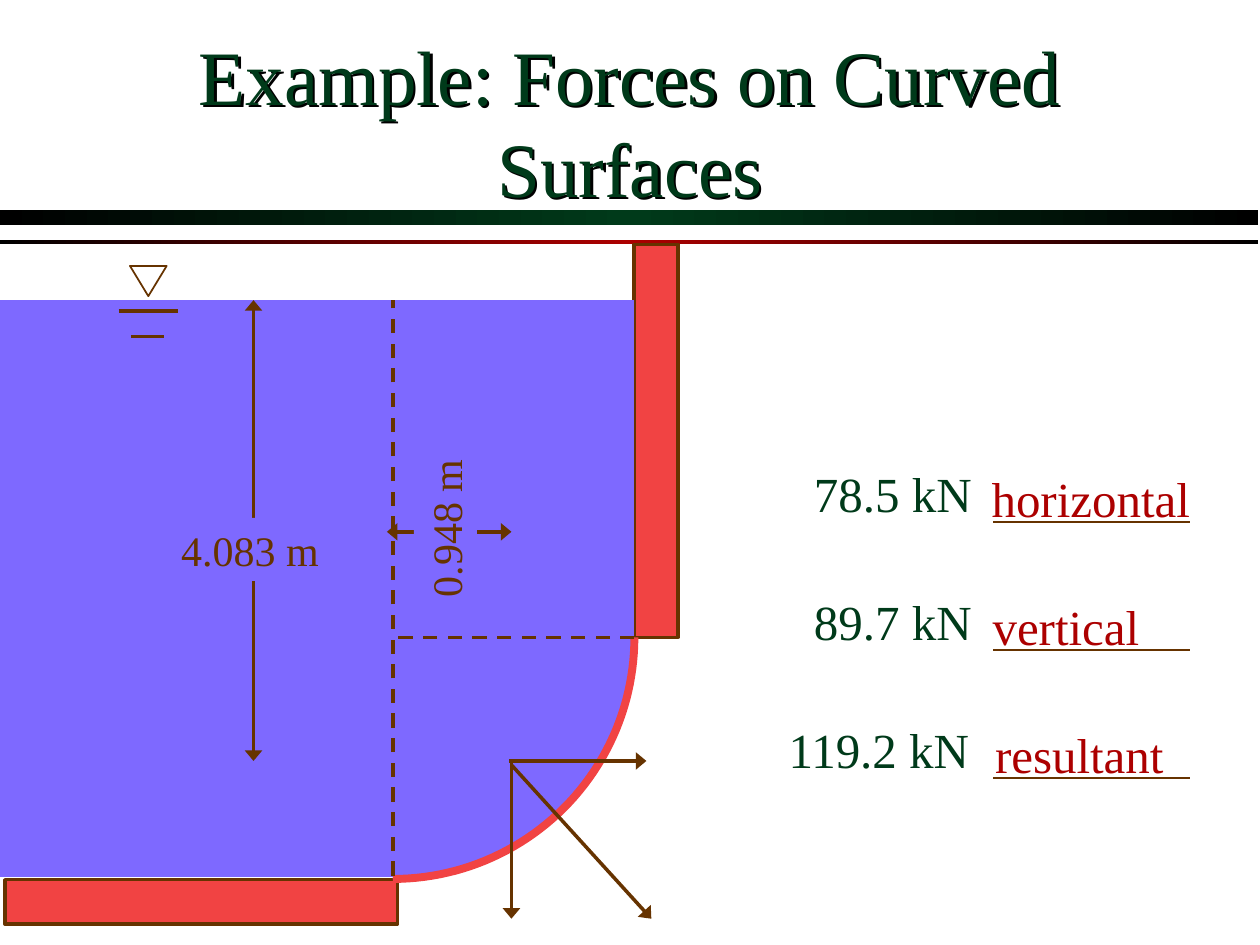
"""Build a slide on the forces acting on a curved surface."""
from copy import deepcopy
from dataclasses import dataclass
from math import cos, pi, sin

from lxml import etree
from pptx import Presentation
from pptx.dml.color import RGBColor
from pptx.enum.dml import MSO_LINE
from pptx.enum.shapes import MSO_CONNECTOR, MSO_SHAPE
from pptx.enum.text import MSO_ANCHOR, MSO_AUTO_SIZE, PP_ALIGN
from pptx.oxml.ns import qn
from pptx.util import Cm, Pt

RECT, TRIANGLE = MSO_SHAPE.RECTANGLE, MSO_SHAPE.ISOSCELES_TRIANGLE
STRAIGHT, DASH = MSO_CONNECTOR.STRAIGHT, MSO_LINE.DASH
TOP, MIDDLE = MSO_ANCHOR.TOP, MSO_ANCHOR.MIDDLE
LEFT, CENTER = PP_ALIGN.LEFT, PP_ALIGN.CENTER
GROW, FIXED = MSO_AUTO_SIZE.SHAPE_TO_FIT_TEXT, MSO_AUTO_SIZE.NONE


@dataclass(frozen=True)
class Theme:
    font: str = "Times New Roman"
    green: str = "003A1A"
    red: str = "AC0000"
    black: str = "000000"
    brown: str = "663300"
    water: str = "7E69FF"
    wall: str = "F14343"
    title: int = 44
    value: int = 28
    dimension: int = 24
    thin: float = 1
    medium: float = 2
    thick: float = 4.5


def rgb(color):
    return RGBColor.from_string(color)


def write(sp, text, *, font, size, color, align=LEFT, anchor=TOP, wrap=False, shadow=None):
    tf = sp.text_frame
    tf.word_wrap = wrap
    tf.auto_size = FIXED if wrap else GROW
    tf.vertical_anchor = anchor
    p = tf.paragraphs[0]
    p.alignment = align
    r = p.add_run()
    r.text = text
    r.font.name, r.font.size = font, Pt(size)
    r.font.color.rgb = rgb(color)
    if shadow:
        effects = etree.SubElement(sp._element.spPr, qn("a:effectLst"))
        cast = etree.SubElement(effects, qn("a:outerShdw"), dist="25400", dir="2700000")
        etree.SubElement(cast, qn("a:srgbClr"), val=shadow)


class Sketch:
    def __init__(self, slide, theme):
        self.s, self.theme = slide, theme

    def style(self, sp, fill, line, width):
        sp.shadow.inherit = False
        if fill:
            sp.fill.solid()
            sp.fill.fore_color.rgb = rgb(fill)
        else:
            sp.fill.background()
        if line:
            sp.line.color.rgb = rgb(line)
            sp.line.width = Pt(width)
        else:
            sp.line.fill.background()

    def shape(self, kind, box, fill=None, line=None, width=0, rotation=0):
        sp = self.s.shapes.add_shape(kind, *map(Cm, box))
        self.style(sp, fill, line, width)
        sp.rotation = rotation
        return sp

    def band(self, box, color):
        sp = self.shape(RECT, box)
        sp.fill.gradient()
        sp.fill.gradient_angle = 0
        stops = sp._element.xpath(".//a:gsLst")[0]
        stops.insert(1, deepcopy(stops[0]))
        colors = (self.theme.black, color, self.theme.black)
        for stop, tint, place in zip(sp.fill.gradient_stops, colors, (0, 0.5, 1)):
            stop.color.rgb = rgb(tint)
            stop.position = place

    def text(self, box, text, size, color, fill=None, rotation=0, **fmt):
        sp = self.s.shapes.add_textbox(*map(Cm, box))
        if fill:
            self.style(sp, fill, None, 0)
        sp.rotation = rotation
        write(sp, text, font=self.theme.font, size=size, color=color, **fmt)

    def line(self, x1, y1, x2, y2, width=None, dash=False, ends=()):
        ln = self.s.shapes.add_connector(STRAIGHT, Cm(x1), Cm(y1), Cm(x2), Cm(y2))
        ln.line.color.rgb = rgb(self.theme.brown)
        ln.line.width = Pt(width or self.theme.medium)
        if dash:
            ln.line.dash_style = DASH
        for end in ends:
            etree.SubElement(ln.line._get_or_add_ln(), qn(f"a:{end}"), type="triangle", w="lg")
        etree.SubElement(ln._element.spPr, qn("a:effectLst"))

    def quadrant(self, x, y, radius, fill, line, width, steps=48):
        angles = [pi / 2 * i / steps for i in range(steps + 1)]
        points = [(Cm(x + radius * sin(a)), Cm(y + radius * cos(a))) for a in angles]
        builder = self.s.shapes.build_freeform(*points[0])
        builder.add_line_segments(points[1:], close=False)
        sp = builder.convert_to_shape()
        self.style(sp, fill, line, width)
        arc = sp._element.xpath(".//a:path")[0]
        sector = deepcopy(arc)
        arc.set("fill", "none")
        sector.set("stroke", "0")
        corner = etree.SubElement(sector, qn("a:lnTo"))
        etree.SubElement(corner, qn("a:pt"), x="0", y="0")
        etree.SubElement(sector, qn("a:close"))
        arc.addnext(sector)


def main():
    t = Theme()
    prs = Presentation()
    prs.slide_width, prs.slide_height = Cm(25.4), Cm(19.05)
    d = Sketch(prs.slides.add_slide(prs.slide_layouts[6]), t)

    d.band((0, 4.24, 25.37, 0.3), t.green)
    d.band((0, 4.83, 25.37, 0.1), t.red)
    d.text((1.9, 0.84, 21.6, 3.18), "Example: Forces on Curved Surfaces", t.title, t.green,
           align=CENTER, anchor=MIDDLE, wrap=True, shadow=t.black)

    surface, gate_x, gate_y, radius = 6.05, 7.92, 12.85, 4.87
    force_x, force_y = 10.31, 15.34
    d.shape(RECT, (0, surface, 7.98, 11.63), t.water)
    for x, y, rotation in ((12.78, 4.93, 0), (3.61, 14.22, 90)):
        d.shape(RECT, (x, y, 0.89, 7.92), t.wall, t.brown, t.medium, rotation)
    d.shape(RECT, (7.85, surface, 4.93, 6.91), t.water)
    d.quadrant(gate_x, gate_y, radius, t.water, t.wall, t.thick)
    d.line(gate_x, 17.65, gate_x, surface, dash=True)
    d.line(gate_x + radius, gate_y, gate_x, gate_y, dash=True)

    tail, both = ("tailEnd",), ("headEnd", "tailEnd")
    d.line(10.26, force_y, 13.03, force_y, ends=tail)
    d.line(force_x, force_y, force_x, 18.52, ends=tail)
    d.line(5.11, surface, 5.11, force_y, ends=both)
    d.text((3.4, 10.44, 3.28, 1.27), "4.083 m", t.dimension, t.brown, t.water)
    d.line(force_x, 10.72, 7.8, 10.72, ends=both)
    d.text((7.34, 10.01, 3.28, 1.27), "0.948 m", t.dimension, t.brown, t.water, 270)
    d.line(force_x, 15.42, 13.13, 18.52, ends=tail)

    d.line(2.39, 6.27, 3.58, 6.27)
    d.line(2.64, 6.78, 3.3, 6.78)
    d.shape(TRIANGLE, (2.62, 5.36, 0.74, 0.61), line=t.brown, width=t.thin, rotation=180)

    forces = (
        ("78.5 kN", 3.68, "horizontal", 19.74, 4.55),
        ("89.7 kN", 3.68, "vertical", 19.76, 3.55),
        ("119.2 kN", 4.19, "resultant", 19.81, 3.95),
    )
    for i, (value, value_w, name, name_x, name_w) in enumerate(forces):
        y = 9.22 + 2.58 * i
        d.text((19.84 - value_w, y, value_w, 1.45), value, t.value, t.green)
        d.line(20.02, y + 1.3, 23.98, y + 1.3, t.thin)
        d.text((name_x, y + 0.1, name_w, 1.45), name, t.value, t.red, anchor=MIDDLE)

    prs.save("out.pptx")


if __name__ == "__main__":
    main()
